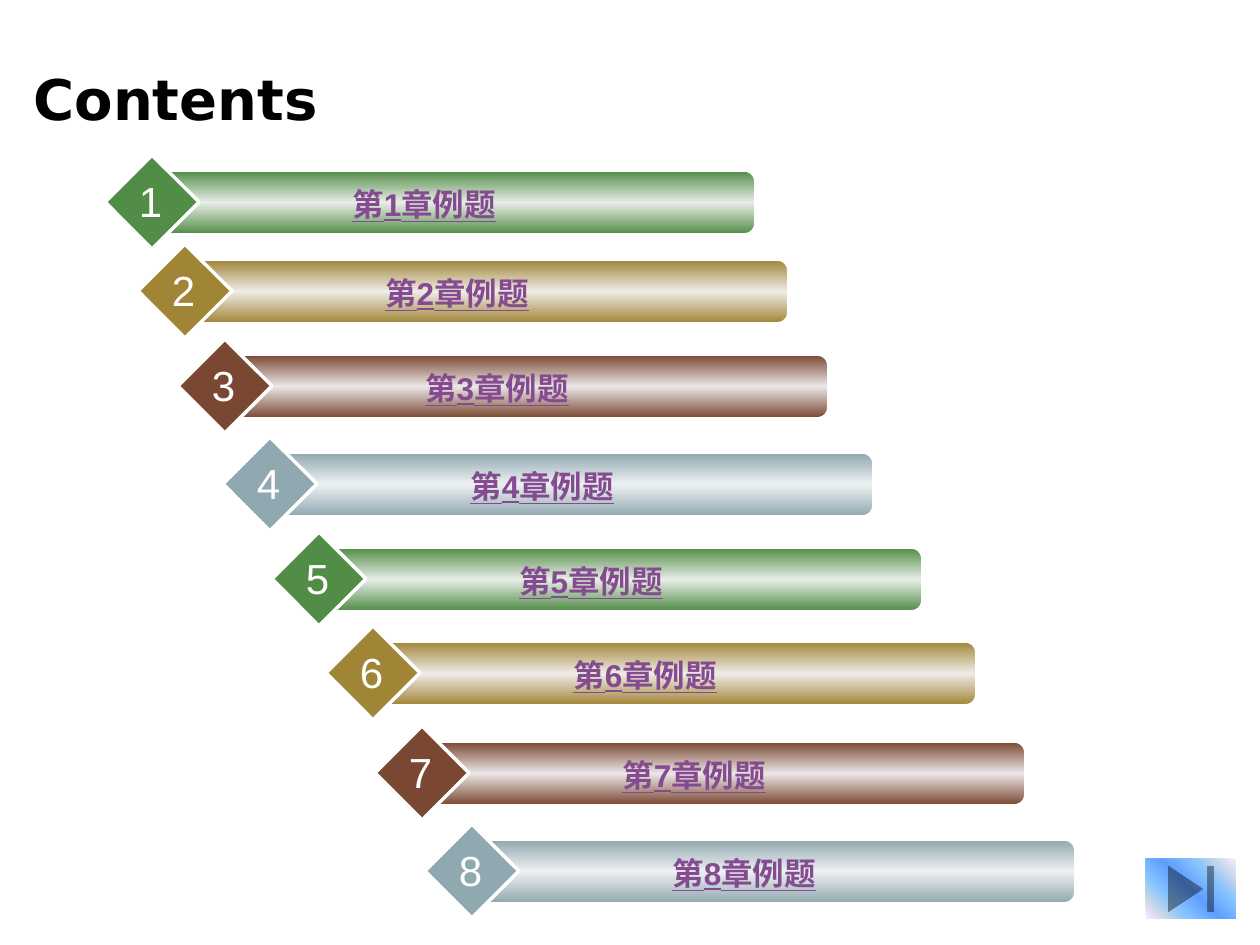
from lxml import etree
from pptx import Presentation, util as u
from pptx.dml.color import RGBColor
from pptx.enum import shapes, text
from pptx.oxml.ns import qn

PX = 914400 / 126  # EMU per px
COLORS = {
    "white": "FFFFFF", "black": "000000", "link": "844B91",
    "green": "518D47", "green_light": "E8EDE7",
    "gold": "A18537", "gold_light": "EFECE7",
    "brown": "7A4832", "brown_light": "EBE7E7",
    "steel": "90A8B0", "steel_light": "EDF0F1",
    "pink": "FFEBFA", "pale": "C4D6EB", "sky": "85C2FF", "blue": "5E9EFF",
}
THEMES = ["green", "gold", "brown", "steel"]
# Left and top of each chapter's diamond
STEPS = [(105, 155), (138, 244), (178, 339), (223, 437),
         (272, 532), (326, 626), (375, 726), (425, 824)]


def px(*lengths):
    return [round(n * PX) for n in lengths]


def rgb(name):
    return RGBColor.from_string(COLORS[name])


def style(p, size, color, font="Arial", bold=False, underline=False):
    for r in p.runs:
        f = r.font
        f.name, f.size, f.bold, f.underline = font, u.Pt(size), bold, underline
        f.color.rgb = rgb(color)


def add_shape(parent, kind, box, line_width=0):
    sp = parent.add_shape(kind, *px(*box))
    sp.shadow.inherit = False
    if line_width:
        sp.line.color.rgb = rgb("white")
        sp.line.width = u.Pt(line_width)
    else:
        sp.line.fill.background()
    return sp


def fill_gradient(sp, stops, clockwise):
    sp.fill.gradient()
    sp.fill.gradient_angle = 360 - clockwise
    stop_list = sp._element.spPr.find(".//" + qn("a:gsLst"))
    for old in list(stop_list):
        stop_list.remove(old)
    for percent, name in stops:
        gs = etree.SubElement(stop_list, qn("a:gs"), pos=str(percent * 1000))
        etree.SubElement(gs, qn("a:srgbClr"), val=COLORS[name])


def add_label(parent, box, words, wrap, **look):
    tf = parent.add_textbox(*px(*box)).text_frame
    tf.word_wrap = wrap
    tf.auto_size = text.MSO_AUTO_SIZE.SHAPE_TO_FIT_TEXT
    tf.text = words
    p = tf.paragraphs[0]
    p.alignment = text.PP_ALIGN.CENTER
    style(p, **look)


def add_chapter(s, number, x, y, theme):
    group = s.shapes.add_group_shape().shapes
    # Bar behind the diamond
    bar = add_shape(group, shapes.MSO_SHAPE.ROUNDED_RECTANGLE,
                    (x + 52, y + 16, 598, 63), 1)
    bar.adjustments[0] = 0.167
    fill_gradient(bar, [(0, theme), (50, theme + "_light"), (100, theme)], 90)
    diamond = add_shape(group, shapes.MSO_SHAPE.DIAMOND, (x, y, 94, 94), 2)
    diamond.fill.solid()
    diamond.fill.fore_color.rgb = rgb(theme)
    # Chapter name and number
    add_label(group, (x + 83, y + 24, 472, 50), f"第{number}章例题", True,
              size=18, color="link", bold=True, underline=True)
    add_label(group, (x + 21, y + 14, 49, 63), str(number), False,
              size=24, color="white")


def add_title(s, words):
    title = s.shapes.title
    title.left, title.top, title.width, title.height = px(21, 59, 1061, 78)
    tf = title.text_frame
    tf.text = words
    tf.vertical_anchor = text.MSO_ANCHOR.MIDDLE
    p = tf.paragraphs[0]
    p.alignment = text.PP_ALIGN.LEFT
    style(p, 32, "black", font="DejaVu Sans", bold=True)


def add_end_button(s):
    button = add_shape(s.shapes, shapes.MSO_SHAPE.ACTION_BUTTON_END,
                       (1146, 859, 90, 60))
    fill_gradient(button, [(0, "pink"), (15, "pale"), (30, "sky"), (50, "blue"),
                           (70, "sky"), (85, "pale"), (100, "pink")], 315)


def main():
    prs = Presentation()
    prs.slide_width, prs.slide_height = px(1260, 945)
    s = prs.slides.add_slide(prs.slide_layouts[5])
    add_title(s, "Contents")
    for i, (x, y) in enumerate(STEPS):
        add_chapter(s, i + 1, x, y, THEMES[i % len(THEMES)])
    add_end_button(s)
    prs.save("out.pptx")


if __name__ == "__main__":
    main()
